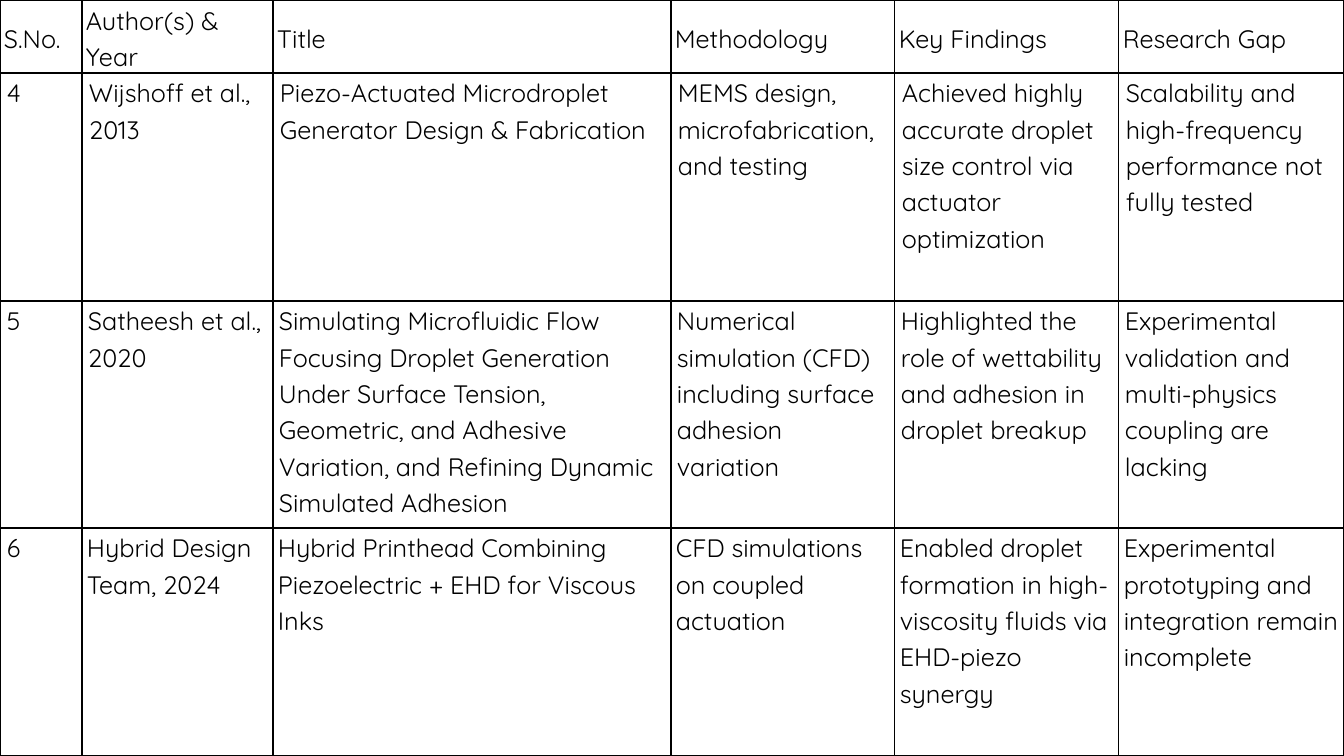
from lxml import etree
from pptx import Presentation
from pptx.dml.color import RGBColor
from pptx.enum.text import MSO_ANCHOR
from pptx.oxml.ns import qn
from pptx.util import Emu, Pt

TOP, MIDDLE = MSO_ANCHOR.TOP, MSO_ANCHOR.MIDDLE
EMU_PER_PX = 12192000 / 1344
SLIDE_WIDTH, SLIDE_HEIGHT = 1344, 756
COLUMN_WIDTHS = [82, 191, 398, 224, 224, 225]
ROW_HEIGHTS = [73, 228, 227, 228]
NUMBER_INSET = 7

HEADINGS = ["S.No.", "Author(s) & Year", "Title", "Methodology", "Key Findings", "Research Gap"]
STUDIES = [
    (7, 10, ["4", "Wijshoff et al., 2013",
             "Piezo-Actuated Microdroplet Generator Design & Fabrication",
             "MEMS design, microfabrication, and testing",
             "Achieved highly accurate droplet size control via actuator optimization",
             "Scalability and high-frequency performance not fully tested"]),
    (6, 8, ["5", "Satheesh et al., 2020",
            "Simulating Microfluidic Flow Focusing Droplet Generation Under Surface Tension, "
            "Geometric, and Adhesive Variation, and Refining Dynamic Simulated Adhesion",
            "Numerical simulation (CFD) including surface adhesion variation",
            "Highlighted the role of wettability and adhesion in droplet breakup",
            "Experimental validation and multi-physics coupling are lacking"]),
    (5, 10, ["6", "Hybrid Design Team, 2024",
             "Hybrid Printhead Combining Piezoelectric + EHD for Viscous Inks",
             "CFD simulations on coupled actuation",
             "Enabled droplet formation in high-viscosity fluids via EHD-piezo synergy",
             "Experimental prototyping and integration remain incomplete"]),
]


def px(length):
    return Emu(round(length * EMU_PER_PX))


def color(value):
    return RGBColor.from_string(value)


class SlideBuilder:
    """Draws styled elements on the current slide."""

    font_name = "Quicksand"
    font_size = 18
    ink = "000000"
    line_spacing = 1.15
    border_width = 1

    def __init__(self, presentation):
        self.slide = presentation.slides.add_slide(presentation.slide_layouts[6])

    def background(self, fill):
        self.slide.background.fill.solid()
        self.slide.background.fill.fore_color.rgb = color(fill)

    def table(self, left, top, column_widths, row_heights):
        frame = self.slide.shapes.add_table(
            len(row_heights), len(column_widths), px(left), px(top),
            px(sum(column_widths)), px(sum(row_heights)))
        table = frame.table
        table.first_row = table.horz_banding = False
        for column, width in zip(table.columns, column_widths):
            column.width = px(width)
        for row, height in zip(table.rows, row_heights):
            row.height = px(height)
        return table

    def cell(self, cell, text, inset, space_after, anchor):
        cell.margin_left = cell.margin_right = px(inset)
        cell.margin_top = cell.margin_bottom = 0
        cell.vertical_anchor = anchor
        self.borders(cell)
        cell.fill.background()
        paragraph = cell.text_frame.paragraphs[0]
        paragraph.line_spacing = self.line_spacing
        paragraph.space_after = Pt(space_after)
        run = paragraph.add_run()
        run.text = text
        run.font.name = self.font_name
        run.font.size = Pt(self.font_size)
        run.font.color.rgb = color(self.ink)

    def borders(self, cell):
        properties = cell._tc.get_or_add_tcPr()
        for side in ("a:lnL", "a:lnR", "a:lnT", "a:lnB"):
            line = etree.SubElement(properties, qn(side), w=str(Pt(self.border_width)))
            fill = etree.SubElement(line, qn("a:solidFill"))
            etree.SubElement(fill, qn("a:srgbClr"), val=self.ink)


def main():
    presentation = Presentation()
    presentation.slide_width = px(SLIDE_WIDTH)
    presentation.slide_height = px(SLIDE_HEIGHT)
    builder = SlideBuilder(presentation)
    builder.background("FFFFFF")
    review = builder.table(0, 0, COLUMN_WIDTHS, ROW_HEIGHTS)
    for column, heading in enumerate(HEADINGS):
        builder.cell(review.cell(0, column), heading, 4, 10, MIDDLE)
    for row, (inset, space_after, texts) in enumerate(STUDIES, start=1):
        for column, text in enumerate(texts):
            cell_inset = inset if column else NUMBER_INSET
            cell_space = space_after if column else 10
            builder.cell(review.cell(row, column), text, cell_inset, cell_space, TOP)
    presentation.save("out.pptx")


if __name__ == "__main__":
    main()
